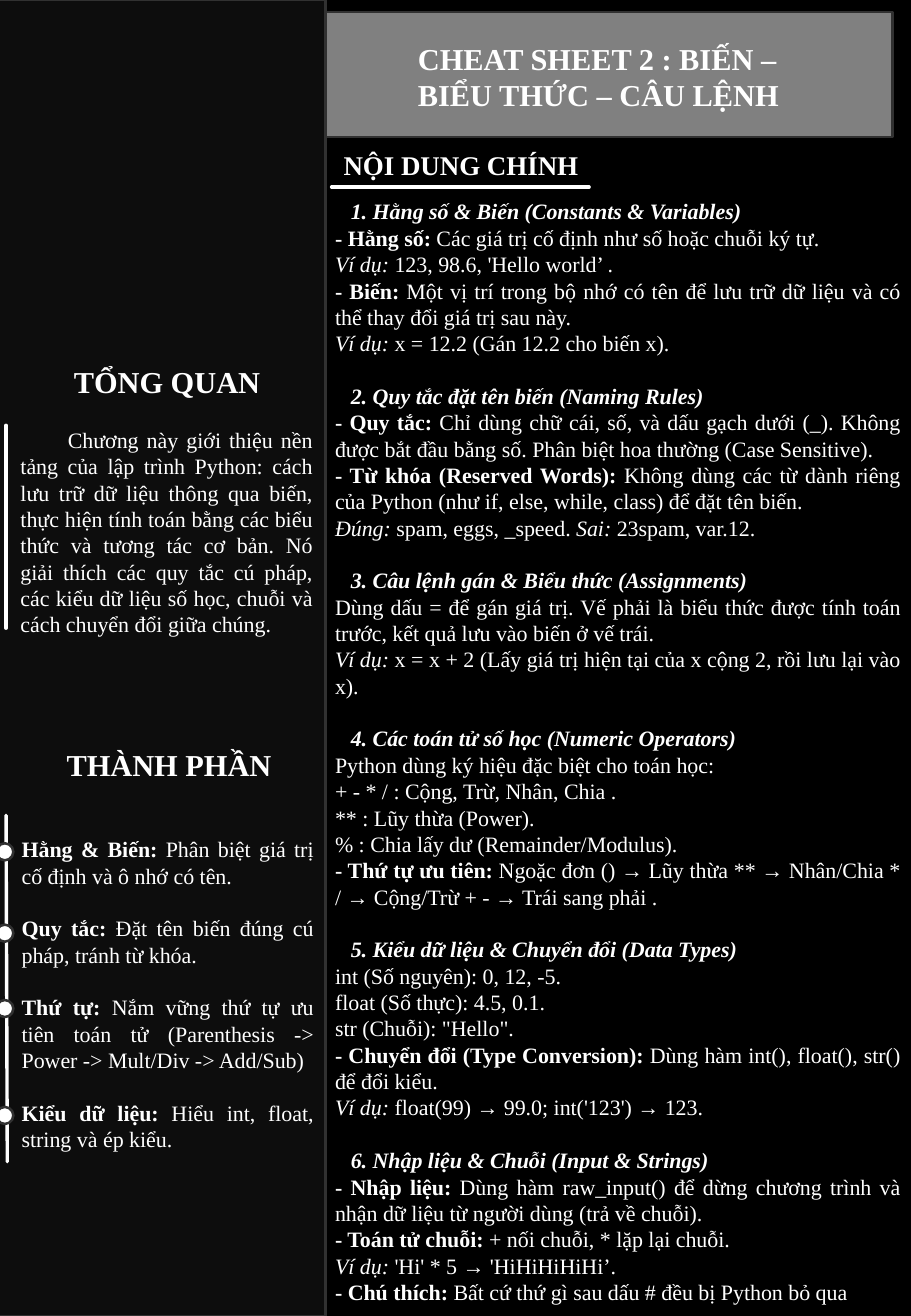
from pptx import Presentation
from pptx.dml.color import RGBColor
from pptx.enum.shapes import MSO_CONNECTOR, MSO_SHAPE
from pptx.enum.text import MSO_ANCHOR, MSO_AUTO_SIZE, PP_ALIGN
from pptx.oxml.ns import qn
from pptx.util import Inches, Pt
from lxml import etree

RECTANGLE = MSO_SHAPE.RECTANGLE
DOT = MSO_SHAPE.FLOWCHART_CONNECTOR
STRAIGHT = MSO_CONNECTOR.STRAIGHT
TOP = MSO_ANCHOR.TOP
NO_FIT = MSO_AUTO_SIZE.NONE
JUSTIFY, LEFT = PP_ALIGN.JUSTIFY, PP_ALIGN.LEFT

COLORS = {"page": "000000", "sidebar": "0D0D0D", "banner": "808080",
          "edge": "313131", "text": "FFFFFF"}
FONT = "Times New Roman"
BODY_SIZE = 13
LINE_SPACING = 1.0
BLANK_LINE = 15.6

OVERVIEW = ("Chương này giới thiệu nền tảng của lập trình Python: cách lưu trữ dữ liệu "
            "thông qua biến, thực hiện tính toán bằng các biểu thức và tương tác cơ bản. "
            "Nó giải thích các quy tắc cú pháp, các kiểu dữ liệu số học, chuỗi và cách "
            "chuyển đổi giữa chúng.")

COMPONENTS = [
    ("bold", "Hằng & Biến:", " Phân biệt giá trị cố định và ô nhớ có tên."),
    ("bold", "Quy tắc:", " Đặt tên biến đúng cú pháp, tránh từ khóa."),
    ("bold", "Thứ tự:", " Nắm vững thứ tự ưu tiên toán tử (Parenthesis -> Power -> Mult/Div -> Add/Sub)"),
    ("bold", "Kiểu dữ liệu:", " Hiểu int, float, string và ép kiểu."),
]

SECTIONS = [
    ("1. Hằng số & Biến (Constants & Variables)", [
        ("bold", "- Hằng số:", " Các giá trị cố định như số hoặc chuỗi ký tự."),
        ("italic", "Ví dụ:", " 123, 98.6, 'Hello world’ ."),
        ("bold", "- Biến:", " Một vị trí trong bộ nhớ có tên để lưu trữ dữ liệu và có thể thay đổi giá trị sau này."),
        ("italic", "Ví dụ:", " x = 12.2 (Gán 12.2 cho biến x)."),
    ]),
    ("2. Quy tắc đặt tên biến (Naming Rules)", [
        ("bold", "- Quy tắc:", " Chỉ dùng chữ cái, số, và dấu gạch dưới (_). Không được bắt đầu bằng số. Phân biệt hoa thường (Case Sensitive)."),
        ("bold", "- Từ khóa (Reserved Words):", " Không dùng các từ dành riêng của Python (như if, else, while, class) để đặt tên biến."),
        ("italic", "Đúng:", " spam, eggs, _speed. ", "Sai:", " 23spam, var.12."),
    ]),
    ("3. Câu lệnh gán & Biểu thức (Assignments)", [
        ("plain", "Dùng dấu = để gán giá trị. Vế phải là biểu thức được tính toán trước, kết quả lưu vào biến ở vế trái."),
        ("italic", "Ví dụ:", " x = x + 2 (Lấy giá trị hiện tại của x cộng 2, rồi lưu lại vào x)."),
    ]),
    ("4. Các toán tử số học (Numeric Operators)", [
        ("plain", "Python dùng ký hiệu đặc biệt cho toán học:"),
        ("plain", "+ - * / : Cộng, Trừ, Nhân, Chia ."),
        ("plain", "** : Lũy thừa (Power)."),
        ("plain", "% : Chia lấy dư (Remainder/Modulus)."),
        ("bold", "- Thứ tự ưu tiên:", " Ngoặc đơn () → Lũy thừa ** → Nhân/Chia * / → Cộng/Trừ + - → Trái sang phải ."),
    ]),
    ("5. Kiểu dữ liệu & Chuyển đổi (Data Types)", [
        ("plain", "int (Số nguyên): 0, 12, -5."),
        ("plain", "float (Số thực): 4.5, 0.1."),
        ("plain", "str (Chuỗi): \"Hello\"."),
        ("bold", "- Chuyển đổi (Type Conversion):", " Dùng hàm int(), float(), str() để đổi kiểu."),
        ("italic", "Ví dụ:", " float(99) → 99.0; int('123') → 123."),
    ]),
    ("6. Nhập liệu & Chuỗi (Input & Strings)", [
        ("bold", "- Nhập liệu:", " Dùng hàm raw_input() để dừng chương trình và nhận dữ liệu từ người dùng (trả về chuỗi)."),
        ("bold", "- Toán tử chuỗi:", " + nối chuỗi, * lặp lại chuỗi."),
        ("italic", "Ví dụ:", " 'Hi' * 5 → 'HiHiHiHiHi’."),
        ("bold", "- Chú thích:", " Bất cứ thứ gì sau dấu # đều bị Python bỏ qua"),
    ]),
]


def color(name):
    return RGBColor.from_string(COLORS[name])


def add_panel(slide, kind, left, top, width, height, fill):
    shape = slide.shapes.add_shape(kind, Inches(left), Inches(top), Inches(width), Inches(height))
    shape.shadow.inherit = False
    shape.fill.solid()
    shape.fill.fore_color.rgb = color(fill)
    shape.line.color.rgb = color("edge")
    shape.line.width = Pt(1.5)


def add_rule(slide, left, top, right, bottom):
    rule = slide.shapes.add_connector(STRAIGHT, Inches(left), Inches(top), Inches(right), Inches(bottom))
    rule.line.color.rgb = color("text")
    rule.line.width = Pt(2)
    rule.get_or_add_ln().set("cap", "rnd")
    etree.SubElement(rule._element.spPr, qn("a:effectLst"))


def prepare_frame(shape):
    frame = shape.text_frame
    frame.word_wrap = True
    frame.auto_size = NO_FIT
    frame.vertical_anchor = TOP
    return frame


def add_text_frame(slide, left, top, width, height):
    return prepare_frame(slide.shapes.add_textbox(Inches(left), Inches(top), Inches(width), Inches(height)))


def write_paragraph(frame, parts, size=BODY_SIZE, align=JUSTIFY, bold=False, italic=False,
                    indent=0, blank_before=False):
    first = frame.paragraphs[0]
    paragraph = frame.add_paragraph() if first.runs else first
    paragraph.alignment = align
    paragraph.line_spacing = LINE_SPACING
    if blank_before:
        paragraph.space_before = Pt(BLANK_LINE)
    if indent:
        paragraph._p.get_or_add_pPr().set("indent", str(Inches(indent)))
    font = paragraph.font
    font.name, font.size, font.bold, font.italic = FONT, Pt(size), bold, italic
    font.color.rgb = color("text")
    style, *texts = parts
    for index, text in enumerate(texts):
        run = paragraph.add_run()
        run.text = text
        if index % 2 == 0 and style == "bold":
            run.font.bold = True
        elif index % 2 == 0 and style == "italic":
            run.font.italic = True


def add_heading(slide, text, left, top, width, size=18):
    frame = add_text_frame(slide, left, top, width, 0.4)
    write_paragraph(frame, ("plain", text), size, LEFT, bold=True)


def add_banner(slide, left, top, width, height):
    add_panel(slide, RECTANGLE, left, top, width, height, "banner")


def place_title(slide, left, top, width, height):
    title = slide.shapes.title
    title.left, title.top = Inches(left), Inches(top)
    title.width, title.height = Inches(width), Inches(height)
    frame = prepare_frame(title)
    for line in ("CHEAT SHEET 2 : BIẾN –", "BIỂU THỨC – CÂU LỆNH"):
        write_paragraph(frame, ("plain", line), 18, LEFT, bold=True)
    slide.shapes._spTree.append(title._element)


def add_overview(slide, left, top, width):
    add_heading(slide, "TỔNG QUAN", left + 0.44, top, 2.1)
    add_rule(slide, left - 0.02, top + 0.56, left - 0.02, top + 2.23)
    frame = add_text_frame(slide, left, top + 0.52, width, 1.9)
    write_paragraph(frame, ("plain", OVERVIEW), indent=0.39)


def add_components(slide, left, top, width):
    add_heading(slide, "THÀNH PHẦN", left + 0.37, top, 2.2)
    add_rule(slide, left - 0.03, top + 0.62, left - 0.02, top + 3.47)
    for offset in (0.85, 1.52, 2.14, 3.02):
        add_panel(slide, DOT, left - 0.11, top + offset, 0.14, 0.14, "text")
    frame = add_text_frame(slide, left, top + 0.74, width, 2.7)
    for index, component in enumerate(COMPONENTS):
        write_paragraph(frame, component, blank_before=index > 0)


def add_main_content(slide, left, top, width, height):
    add_heading(slide, "NỘI DUNG CHÍNH", left + 0.07, top, 2.83, 16)
    add_rule(slide, left + 0.07, top + 0.37, left + 2.19, top + 0.37)
    frame = add_text_frame(slide, left, top + 0.41, width, height - 0.41)
    for index, (heading, lines) in enumerate(SECTIONS):
        write_paragraph(frame, ("plain", heading), bold=True, italic=True, indent=0.13,
                        blank_before=index > 0)
        for line in lines:
            write_paragraph(frame, line)


def main():
    presentation = Presentation()
    presentation.slide_width, presentation.slide_height = Inches(7.5), Inches(10.83)
    slide = presentation.slides.add_slide(presentation.slide_layouts[5])
    slide.background.fill.solid()
    slide.background.fill.fore_color.rgb = color("page")
    add_banner(slide, -0.03, 0.1, 7.38, 1.03)
    add_panel(slide, RECTANGLE, -0.02, 0, 2.7, 10.83, "sidebar")
    place_title(slide, 3.34, 0.28, 3.6, 0.75)
    add_overview(slide, 0.07, 2.94, 2.6)
    add_components(slide, 0.08, 6.09, 2.6)
    add_main_content(slide, 2.66, 1.17, 4.85, 9.66)
    presentation.save("out.pptx")


if __name__ == "__main__":
    main()
